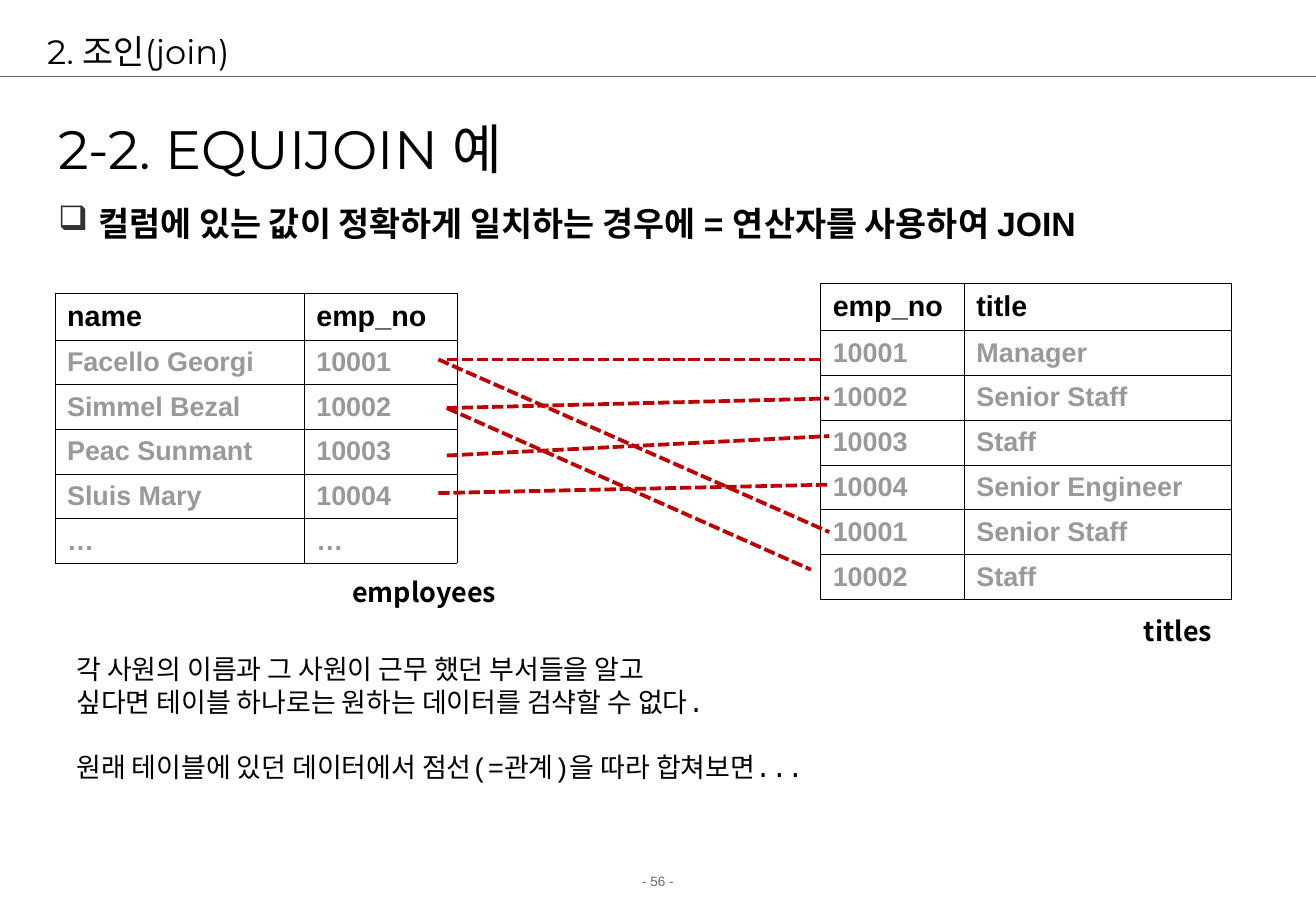
"""Build the slide that explains an equijoin between employees and titles."""
from dataclasses import dataclass

from lxml import etree
from pptx import Presentation
from pptx.dml.color import RGBColor
from pptx.enum.dml import MSO_LINE
from pptx.enum.shapes import MSO_CONNECTOR
from pptx.enum.text import MSO_ANCHOR, PP_ALIGN
from pptx.oxml.ns import qn
from pptx.util import Pt

STRAIGHT = MSO_CONNECTOR.STRAIGHT
DASH = MSO_LINE.SQUARE_DOT
TOP, MIDDLE = MSO_ANCHOR.TOP, MSO_ANCHOR.MIDDLE
LEFT, CENTER = PP_ALIGN.LEFT, PP_ALIGN.CENTER


@dataclass(frozen=True)
class Theme:
    """Colours, fonts and type sizes of the slide."""
    black: str = "000000"
    white: str = "FFFFFF"
    gray: str = "666666"
    cell_gray: str = "999999"
    bullet_gray: str = "333333"
    red: str = "C00000"
    heading_font: str = "Montserrat"
    text_font: str = "Arial"
    code_font: str = "Courier New"
    korean_font: str = "Noto Sans CJK KR"
    heading_size: float = 32
    title_size: float = 20
    header_size: float = 17
    body_size: float = 16
    footer_size: float = 8


THEME = Theme()
WIDTH, HEIGHT = 780.48, 540
RULE_Y = 45.36
BODY_PITCH = 19.4

TITLE = "2. 조인(join)"
HEADING = "2-2. EQUIJOIN 예"
KEY_POINT = "컬럼에 있는 값이 정확하게 일치하는 경우에 = 연산자를 사용하여 JOIN"
BODY = [
    "각 사원의 이름과 그 사원이 근무 했던 부서들을 알고",
    "싶다면 테이블 하나로는 원하는 데이터를 검샥할 수 없다.",
    "원래 테이블에 있던 데이터에서 점선(=관계)을 따라 합쳐보면...",
]
PAGE_NUMBER = "- 56 -"

TABLES = [
    {
        "origin": (32.6, 173.8), "columns": (147.8, 90.7), "heights": (27.4, 26.5),
        "rows": [
            ("name", "emp_no"),
            ("Facello Georgi", "10001"),
            ("Simmel Bezal", "10002"),
            ("Peac Sunmant", "10003"),
            ("Sluis Mary", "10004"),
            ("…", "…"),
        ],
        "label": "employees", "label_box": (201.6, 337.7, 100, 26.6),
    },
    {
        "origin": (486.7, 167.8), "columns": (85.2, 158.5), "heights": (28, 26.6),
        "rows": [
            ("emp_no", "title"),
            ("10001", "Manager"),
            ("10002", "Senior Staff"),
            ("10003", "Staff"),
            ("10004", "Senior Engineer"),
            ("10001", "Senior Staff"),
            ("10002", "Staff"),
        ],
        "label": "titles", "label_box": (671, 360.7, 55.4, 26.6),
    },
]

RELATIONS = [
    ((265, 213.1), (486.7, 213.1)),
    ((260, 213.1), (491.8, 315.4)),
    ((265, 241.9), (491.8, 236.2)),
    ((265, 241.9), (481, 337.7)),
    ((265, 270), (491.8, 258.5)),
    ((260, 292.3), (491.8, 287.3)),
]


def format_paragraph(paragraph, font, size, color, bold=False, align=LEFT):
    paragraph.alignment = align
    for run in paragraph.runs:
        run.font.name = font
        run.font.size = Pt(size)
        run.font.bold = bold
        run.font.color.rgb = RGBColor.from_string(color)
        east_asian = etree.Element(qn("a:ea"), typeface=THEME.korean_font)
        run.font._element.find(qn("a:latin")).addnext(east_asian)


def add_text(slide, box, lines, font, size, color=THEME.black, bold=False,
             align=LEFT, anchor=TOP, wrap=True):
    text_frame = slide.shapes.add_textbox(*map(Pt, box)).text_frame
    text_frame.word_wrap = wrap
    text_frame.vertical_anchor = anchor
    text_frame.text = "\n".join(lines)
    for paragraph in text_frame.paragraphs:
        format_paragraph(paragraph, font, size, color, bold, align)
    return text_frame.paragraphs


def add_bullet(paragraph, character, color):
    properties = paragraph._p.get_or_add_pPr()
    properties.set("marL", str(Pt(23.8)))
    properties.set("indent", str(-Pt(23.8)))
    bullet_color = etree.SubElement(properties, qn("a:buClr"))
    etree.SubElement(bullet_color, qn("a:srgbClr"), val=color)
    etree.SubElement(properties, qn("a:buChar"), char=character)


def add_line(slide, start, end, color, width, dash=None):
    line = slide.shapes.add_connector(STRAIGHT, *map(Pt, start + end))
    line.line.color.rgb = RGBColor.from_string(color)
    line.line.width = Pt(width)
    if dash is not None:
        line.line.dash_style = dash
    etree.SubElement(line._element.spPr, qn("a:effectLst"))


def add_borders(cell, color, width):
    properties = cell._tc.get_or_add_tcPr()
    for position, side in enumerate(("lnL", "lnR", "lnT", "lnB")):
        border = etree.Element(qn(f"a:{side}"), w=str(Pt(width)))
        fill = etree.SubElement(border, qn("a:solidFill"))
        etree.SubElement(fill, qn("a:srgbClr"), val=color)
        properties.insert(position, border)


def add_data_table(slide, origin, columns, heights, rows):
    header_height, row_height = heights
    total_height = header_height + row_height * (len(rows) - 1)
    box = (*origin, sum(columns), total_height)
    table = slide.shapes.add_table(len(rows), len(columns), *map(Pt, box)).table
    table.first_row = table.horz_banding = False
    for column, width in zip(table.columns, columns):
        column.width = Pt(width)
    for row_index, values in enumerate(rows):
        is_header = row_index == 0
        table.rows[row_index].height = Pt(header_height if is_header else row_height)
        size = THEME.header_size if is_header else THEME.body_size
        color = THEME.black if is_header else THEME.cell_gray
        for column_index, value in enumerate(values):
            cell = table.cell(row_index, column_index)
            cell.text_frame.text = value
            cell.vertical_anchor = MIDDLE
            cell.fill.solid()
            cell.fill.fore_color.rgb = RGBColor.from_string(THEME.white)
            add_borders(cell, THEME.black, 0.34)
            format_paragraph(cell.text_frame.paragraphs[0], THEME.text_font, size, color, True)


def main():
    presentation = Presentation()
    presentation.slide_width, presentation.slide_height = Pt(WIDTH), Pt(HEIGHT)
    slide = presentation.slides.add_slide(presentation.slide_layouts[6])

    add_text(slide, (0, 514.1, WIDTH, 17.3), [PAGE_NUMBER], THEME.text_font,
             THEME.footer_size, THEME.gray, align=CENTER)
    add_line(slide, (0, RULE_Y), (WIDTH, RULE_Y), THEME.gray, 0.75)
    add_text(slide, (20.9, 15.1, 732.2, 30.2), [TITLE], THEME.heading_font,
             THEME.title_size, anchor=MIDDLE)
    add_text(slide, (27.4, 54.7, 612, 66.2), [HEADING], THEME.heading_font,
             THEME.heading_size, anchor=MIDDLE)
    key_point = add_text(slide, (27.4, 116.6, 743, 45.4), [KEY_POINT],
                         THEME.text_font, THEME.title_size, bold=True)
    add_bullet(key_point[0], "❑", THEME.bullet_gray)

    for content in TABLES:
        add_data_table(slide, content["origin"], content["columns"],
                       content["heights"], content["rows"])
        add_text(slide, content["label_box"], [content["label"]], THEME.korean_font,
                 THEME.body_size, bold=True, align=CENTER, wrap=False)
    for start, end in RELATIONS:
        add_line(slide, start, end, THEME.red, 2.25, DASH)

    body = add_text(slide, (38.2, 383, 490.3, 103.7), BODY, THEME.code_font, THEME.body_size)
    for paragraph in body:
        paragraph.line_spacing = Pt(BODY_PITCH)
    body[-1].space_before = Pt(BODY_PITCH)
    presentation.save("out.pptx")


if __name__ == "__main__":
    main()
